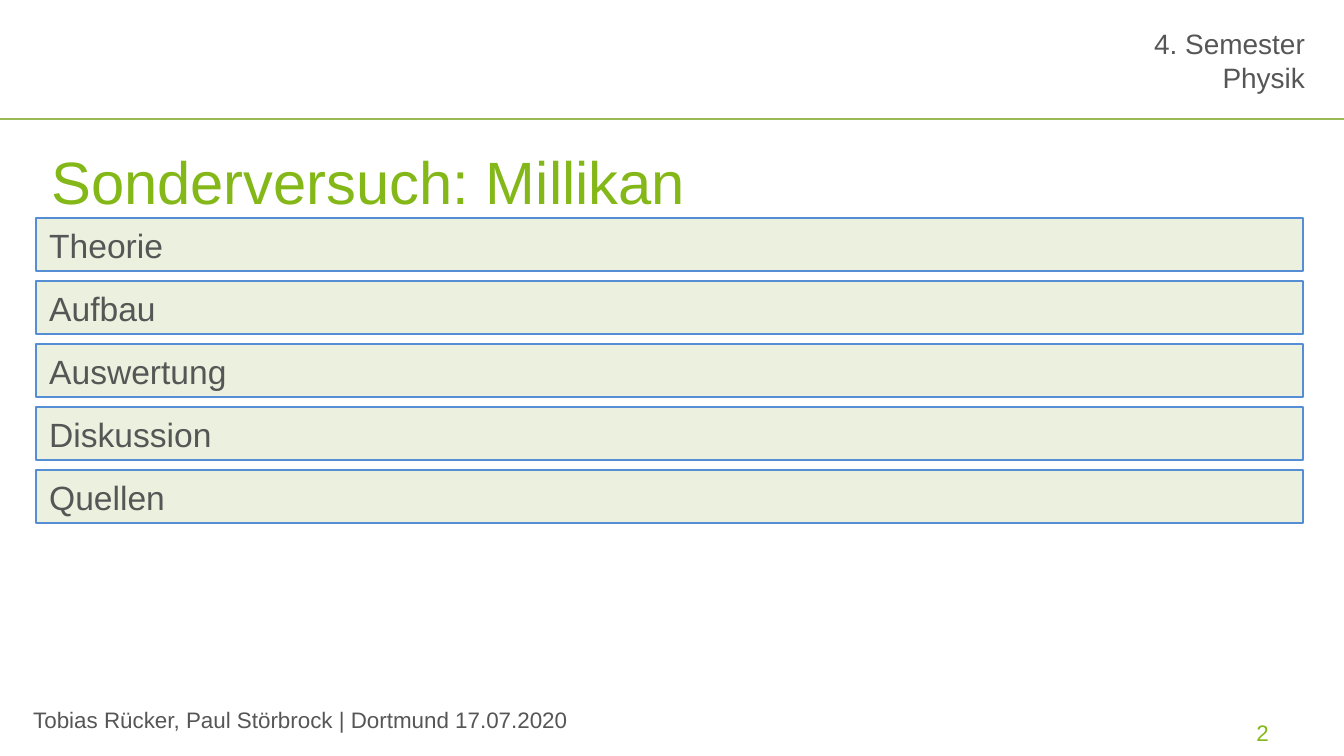
from dataclasses import dataclass

from lxml import etree
from pptx import Presentation
from pptx import util as u
from pptx.dml.color import RGBColor
from pptx.enum import shapes, text
from pptx.oxml import ns

EMU_PER_PX = 914400 / 134.4


@dataclass(frozen=True)
class Theme:
    font: str = "Arial"
    grey: str = "565656"
    green: str = "84B818"
    rule: str = "98B955"
    bar_fill: str = "EBF1DE"
    bar_line: str = "558ED5"
    title_size: int = 32
    bar_size: int = 18
    header_size: int = 15
    small_size: int = 12
    line_width: float = 0.75


@dataclass(frozen=True)
class Box:
    left: int
    top: int
    width: int
    height: int


@dataclass(frozen=True)
class Label:
    box: Box
    words: str
    size: int
    color: str
    align: text.PP_ALIGN = text.PP_ALIGN.LEFT
    anchor: text.MSO_ANCHOR = text.MSO_ANCHOR.TOP
    inset: bool = True


THEME = Theme()


def px(length: int) -> int:
    return u.Emu(round(length * EMU_PER_PX))


def place(box: Box) -> tuple[int, int, int, int]:
    return px(box.left), px(box.top), px(box.width), px(box.height)


def write(frame, label: Label) -> None:
    frame.text = label.words
    frame.word_wrap = True
    frame.vertical_anchor = label.anchor
    if not label.inset:
        frame.margin_left = frame.margin_right = 0
        frame.margin_top = frame.margin_bottom = 0
    for paragraph in frame.paragraphs:
        paragraph.alignment = label.align
        for run in paragraph.runs:
            run.font.name = THEME.font
            run.font.size = u.Pt(label.size)
            run.font.color.rgb = RGBColor.from_string(label.color)


def draw_label(slide, label: Label) -> None:
    write(slide.shapes.add_textbox(*place(label.box)).text_frame, label)


def draw_bar(slide, label: Label) -> None:
    bar = slide.shapes.add_shape(shapes.MSO_SHAPE.RECTANGLE, *place(label.box))
    bar.shadow.inherit = False
    bar.fill.solid()
    bar.fill.fore_color.rgb = RGBColor.from_string(THEME.bar_fill)
    bar.line.color.rgb = RGBColor.from_string(THEME.bar_line)
    bar.line.width = u.Pt(THEME.line_width)
    write(bar.text_frame, label)


def draw_rule(slide, y: int, length: int) -> None:
    rule = slide.shapes.add_connector(
        shapes.MSO_CONNECTOR.STRAIGHT, 0, px(y), px(length), px(y))
    rule.line.color.rgb = RGBColor.from_string(THEME.rule)
    rule.line.width = u.Pt(THEME.line_width)
    etree.SubElement(rule._element.spPr, ns.qn("a:effectLst"))


FOOTER = Label(Box(20, 700, 589, 38),
               "Tobias Rücker, Paul Störbrock | Dortmund 17.07.2020",
               THEME.small_size, THEME.grey)
COURSE = Label(Box(723, 27, 582, 67), "4. Semester\nPhysik",
               THEME.header_size, THEME.grey, text.PP_ALIGN.RIGHT,
               text.MSO_ANCHOR.BOTTOM, inset=False)
TITLE = Label(Box(38, 138, 1270, 74), "Sonderversuch: Millikan",
              THEME.title_size, THEME.green)
PAGE_NUMBER = Label(Box(1222, 717, 81, 31), "2", THEME.small_size, THEME.green,
                    text.PP_ALIGN.CENTER, text.MSO_ANCHOR.MIDDLE)

SECTIONS = ("Theorie", "Aufbau", "Auswertung", "Diskussion", "Quellen")
FIRST_BAR = Box(36, 218, 1267, 53)
BAR_PITCH = 63


def main() -> None:
    deck = Presentation()
    deck.slide_width, deck.slide_height = px(1344), px(756)
    slide = deck.slides.add_slide(deck.slide_layouts[6])

    # Header, title and footer
    draw_rule(slide, 119, 1344)
    for label in (FOOTER, COURSE, TITLE, PAGE_NUMBER):
        draw_label(slide, label)

    # Agenda bars, evenly stacked
    for i, section in enumerate(SECTIONS):
        box = Box(FIRST_BAR.left, FIRST_BAR.top + i * BAR_PITCH,
                  FIRST_BAR.width, FIRST_BAR.height)
        draw_bar(slide, Label(box, section, THEME.bar_size, THEME.grey))

    deck.save("out.pptx")


if __name__ == "__main__":
    main()
